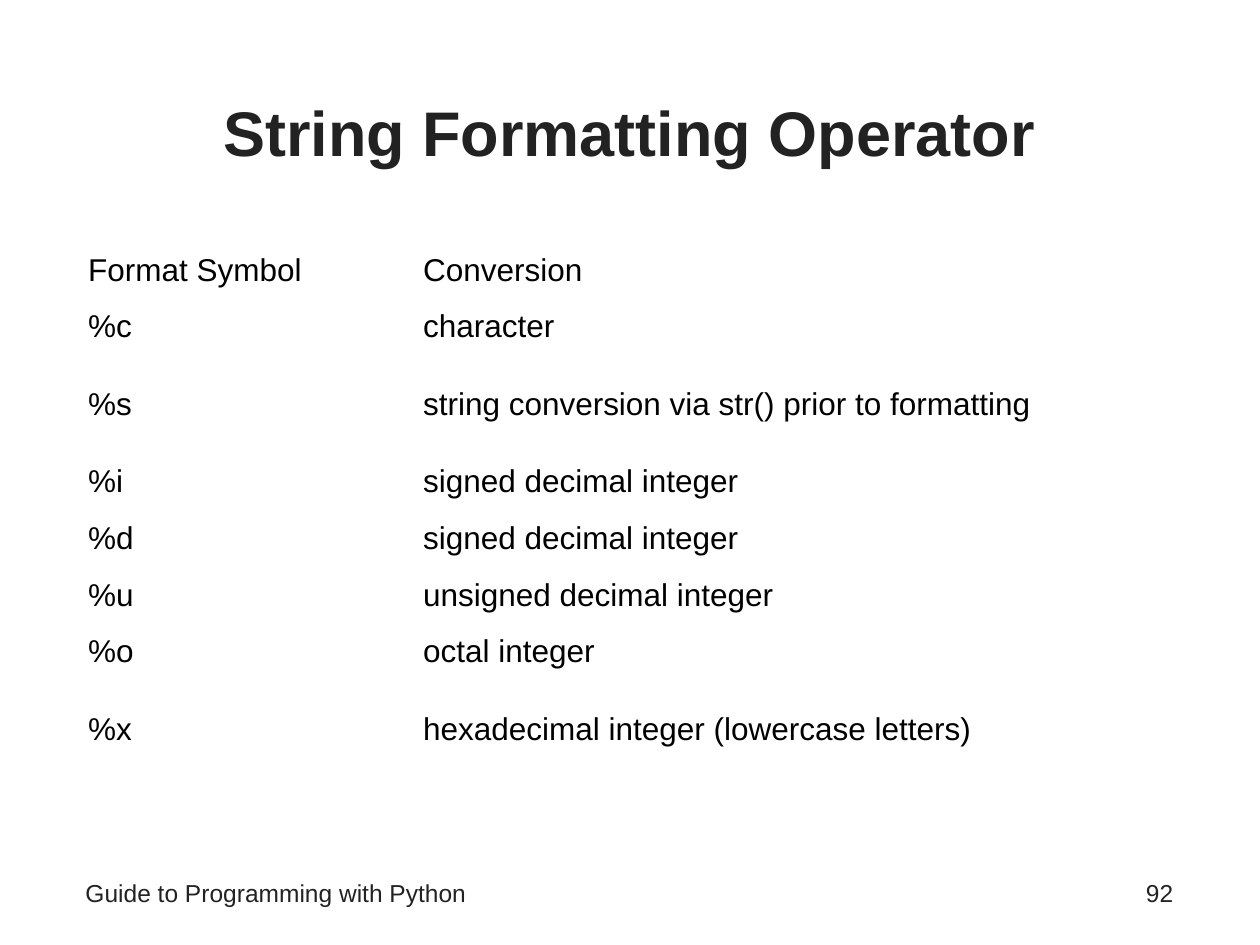
from pptx import Presentation
from pptx.dml.color import RGBColor
from pptx.enum.text import MSO_ANCHOR, PP_ALIGN
from pptx.util import Inches, Pt

LEFT, CENTER, RIGHT = PP_ALIGN.LEFT, PP_ALIGN.CENTER, PP_ALIGN.RIGHT
TOP, MIDDLE = MSO_ANCHOR.TOP, MSO_ANCHOR.MIDDLE
CHARCOAL = RGBColor(0x22, 0x22, 0x22)
BLACK = RGBColor(0, 0, 0)
FONT = "Arial"

SLIDE_WIDTH, SLIDE_HEIGHT = 10, 7.5
MARGIN = 0.58
CONTENT_WIDTH = 8.83
SYMBOL_SHARE = 0.296
ROW_HEIGHT, TALL_ROW_HEIGHT = 0.45, 0.78
TALL_SYMBOLS = ("%s", "%x")

CONVERSIONS = [
    ("Format Symbol", "Conversion"),
    ("%c", "character"),
    ("%s", "string conversion via str() prior to formatting"),
    ("%i", "signed decimal integer"),
    ("%d", "signed decimal integer"),
    ("%u", "unsigned decimal integer"),
    ("%o", "octal integer"),
    ("%x", "hexadecimal integer (lowercase letters)"),
]


def style_paragraph(paragraph, size, color, alignment=LEFT, bold=False):
    paragraph.alignment = alignment
    paragraph.font.name = FONT
    paragraph.font.size = Pt(size)
    paragraph.font.bold = bold
    paragraph.font.color.rgb = color


def add_text(slide, box, text, size, alignment=LEFT, anchor=TOP, bold=False):
    shape = slide.shapes.add_textbox(*map(Inches, box))
    frame = shape.text_frame
    frame.word_wrap = True
    frame.vertical_anchor = anchor
    frame.text = text
    style_paragraph(frame.paragraphs[0], size, CHARCOAL, alignment, bold)


def add_title(slide, box):
    add_text(slide, box, "String Formatting Operator", 36, CENTER, MIDDLE, True)


def add_footer(slide, box):
    left, top, width, height = box
    number_width = 2.25
    add_text(slide, (left, top, 6.42, height),
             "Guide to Programming with Python", 14)
    add_text(slide, (left + width - number_width, top, number_width, height),
             "92", 14, RIGHT)


def add_conversion_table(slide, box):
    width = box[2]
    shape = slide.shapes.add_table(len(CONVERSIONS), 2, *map(Inches, box))
    table = shape.table
    table.first_row = False
    table.horz_banding = False
    table.columns[0].width = Inches(width * SYMBOL_SHARE)
    table.columns[1].width = Inches(width * (1 - SYMBOL_SHARE))
    for row, texts in zip(table.rows, CONVERSIONS):
        tall = texts[0] in TALL_SYMBOLS
        row.height = Inches(TALL_ROW_HEIGHT if tall else ROW_HEIGHT)
        for cell, text in zip(row.cells, texts):
            cell.fill.background()
            cell.vertical_anchor = MIDDLE
            cell.text = text
            style_paragraph(cell.text_frame.paragraphs[0], 18, BLACK)


def main():
    presentation = Presentation()
    presentation.slide_width = Inches(SLIDE_WIDTH)
    presentation.slide_height = Inches(SLIDE_HEIGHT)
    slide = presentation.slides.add_slide(presentation.slide_layouts[6])
    add_title(slide, (MARGIN, 0.42, CONTENT_WIDTH, 1.25))
    add_footer(slide, (MARGIN, 6.92, CONTENT_WIDTH, 0.42))
    add_conversion_table(slide, (0.6, 1.92, 8.98, 4.26))
    presentation.save("out.pptx")


if __name__ == "__main__":
    main()
